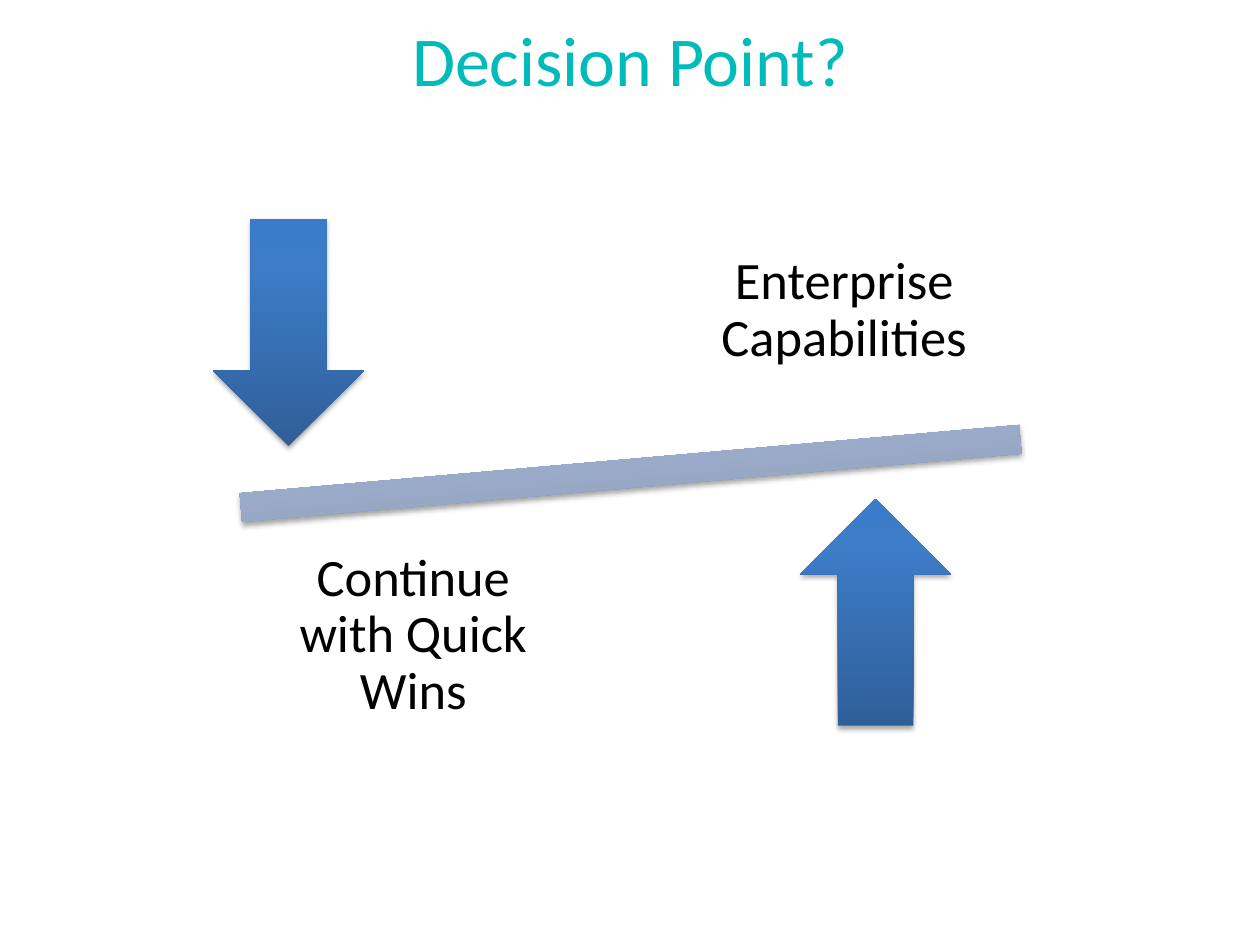
from lxml.etree import SubElement
from pptx import Presentation
from pptx.dml.color import RGBColor
from pptx.enum.shapes import MSO_SHAPE
from pptx.enum.text import MSO_ANCHOR, PP_ALIGN
from pptx.oxml.ns import qn
from pptx.util import Inches, Pt

WIDE, HIGH = 10, 7.5
FONT = "Calibri"
HUES = {
    "ink": "000000",
    "title": [(0, "000000"), (44, "01BBBB"), (100, "8064A2")],
    "beam": [(0, "818FA8"), (80, "A7B9DA"), (100, "A7BADC")],
    "arrow": [(0, "2F5F99"), (80, "3D7CC7"), (100, "3A7CCB")],
}
ARROW = (0.12, 0.24)
LABEL = (0.272, 0.25)


def area(left, top, wide, high):
    """Turn shares of the slide into lengths."""
    return (Inches(left * WIDE), Inches(top * HIGH),
            Inches(wide * WIDE), Inches(high * HIGH))


def blend(fill, node, stops, angle):
    """Give a fill its colour stops; the angle runs clockwise."""
    fill.gradient()
    grad = node.find(qn("a:gradFill"))
    row = grad.find(qn("a:gsLst"))
    for old in list(row):
        row.remove(old)
    for place, hue in stops:
        stop = SubElement(row, qn("a:gs"), pos=str(place * 1000))
        SubElement(stop, qn("a:srgbClr"), val=hue)
    grad.find(qn("a:lin")).set("ang", str(angle * 60000))


def shade(shape):
    """Drop a soft shadow straight down."""
    shape.shadow.inherit = False
    effect = shape._element.spPr.find(qn("a:effectLst"))
    drop = SubElement(effect, qn("a:outerShdw"), blurRad=str(Pt(3.1)),
                      dist=str(Pt(1.8)), dir="5400000", rotWithShape="0")
    black = SubElement(drop, qn("a:srgbClr"), val=HUES["ink"])
    SubElement(black, qn("a:alpha"), val="35000")


def write(frame, text, size=30, hue=None, stops=None, inset=None,
          line=None, after=None):
    """Put centred text into a frame."""
    frame.word_wrap = True
    frame.vertical_anchor = MSO_ANCHOR.MIDDLE
    if inset is not None:
        frame.margin_left = frame.margin_right = Inches(inset)
        frame.margin_top = frame.margin_bottom = Inches(inset)
    para = frame.paragraphs[0]
    para.alignment = PP_ALIGN.CENTER
    if line:
        para.line_spacing = line
    if after:
        gap = SubElement(para._p.get_or_add_pPr(), qn("a:spcAft"))
        SubElement(gap, qn("a:spcPct"), val=str(after * 1000))
    run = para.add_run()
    run.text = text
    run.font.size = Pt(size)
    if stops:
        blend(run.font.fill, run._r.get_or_add_rPr(), stops, 80)
    else:
        run.font.color.rgb = RGBColor.from_string(hue)
    run.font.name = FONT


def block(group, kind, box, stops, turn=0):
    """Add a shaded shape without an outline."""
    shape = group.shapes.add_shape(kind, *area(*box))
    shape.rotation = turn
    blend(shape.fill, shape._element.spPr, stops, 270)
    shape.line.fill.background()
    shade(shape)


def label(group, left, top, text):
    """Add the name of one side of the scale."""
    box = group.shapes.add_textbox(*area(left, top, *LABEL))
    write(box.text_frame, text, hue=HUES["ink"], inset=0.23,
          line=0.9, after=35)


def main():
    deck = Presentation()
    deck.slide_width, deck.slide_height = Inches(WIDE), Inches(HIGH)
    slide = deck.slides.add_slide(deck.slide_layouts[5])

    # Title
    title = slide.shapes.title
    title.left, title.top, title.width, title.height = area(0, 0, 1, 0.123)
    write(title.text_frame, "Decision Point?", size=40, stops=HUES["title"])

    # Tilted beam with an arrow and a label on each side
    scale = slide.shapes.add_group_shape()
    block(scale, MSO_SHAPE.MATH_MINUS, (0.078, 0.436, 0.845, 0.13),
          HUES["beam"], turn=355)
    block(scale, MSO_SHAPE.DOWN_ARROW, (0.169, 0.232, *ARROW), HUES["arrow"])
    label(scale, 0.534, 0.204, "Enterprise Capabilities")
    block(scale, MSO_SHAPE.UP_ARROW, (0.635, 0.528, *ARROW), HUES["arrow"])
    label(scale, 0.192, 0.548, "Continue with Quick Wins")

    deck.save("out.pptx")


if __name__ == "__main__":
    main()
